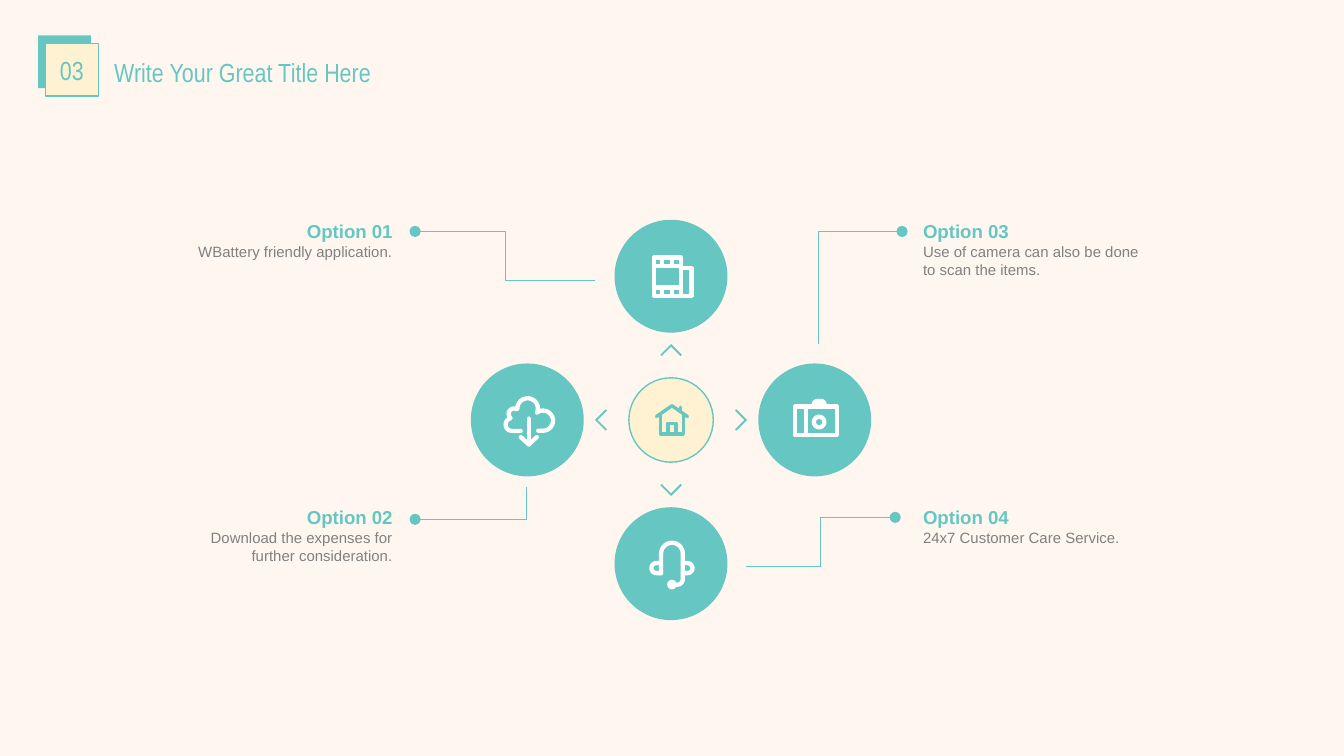
from math import cos, radians, sin

from lxml import etree
from pptx import Presentation
from pptx.dml.color import RGBColor
from pptx.enum.shapes import MSO_SHAPE
from pptx.enum.text import MSO_ANCHOR, PP_ALIGN
from pptx.oxml.ns import qn
from pptx.util import Pt

OVAL, RECTANGLE = MSO_SHAPE.OVAL, MSO_SHAPE.RECTANGLE
LEFT, CENTER, RIGHT = PP_ALIGN.LEFT, PP_ALIGN.CENTER, PP_ALIGN.RIGHT
MIDDLE, TOP = MSO_ANCHOR.MIDDLE, MSO_ANCHOR.TOP

THEME = {
    "teal": RGBColor(0x66, 0xC6, 0xC2),
    "cream": RGBColor(0xFF, 0xF2, 0xD2),
    "paper": RGBColor(0xFF, 0xF6, 0xF0),
    "gray": RGBColor(0x80, 0x80, 0x80),
    "white": RGBColor(0xFF, 0xFF, 0xFF),
    "title_font": "Arial Narrow",
    "body_font": "Arial",
    "title_size": 14,
    "option_size": 10,
    "detail_size": 8,
}

TITLE = "Write Your Great Title Here"
NUMBER = "03"

# heading, detail, left, top, height, alignment
OPTIONS = [
    ("Option 01", "WBattery friendly application.", 91.3, 118, 21.6, RIGHT),
    ("Option 02", "Download the expenses for further consideration.", 91.3, 271, 31.7, RIGHT),
    ("Option 03", "Use of camera can also be done to scan the items.", 494.5, 118, 31.7, LEFT),
    ("Option 04", "24x7 Customer Care Service.", 494.5, 271, 21.6, LEFT),
]
OPTION_WIDTH = 119

# each leader runs from its circle to the dot beside its option
LEADERS = [
    [(319, 150.2), (270.7, 150.2), (270.7, 124), (222.4, 124)],
    [(282.2, 261), (282.2, 278.2), (222.4, 278.2)],
    [(438.5, 184.3), (438.5, 124), (483.3, 124)],
    [(399.6, 303.5), (439.6, 303.5), (439.6, 277.2), (479.6, 277.2)],
]


def arc(x, y, radius, start, end):
    """Points along a circle, in degrees clockwise from the right."""
    steps = max(6, abs(end - start) // 12)
    angles = [radians(start + (end - start) * i / steps) for i in range(steps + 1)]
    return [(x + radius * cos(a), y + radius * sin(a)) for a in angles]


def frame(left, top, right, bottom):
    return [(left, top), (right, top), (right, bottom), (left, bottom), (left, top)]


# icon strokes, relative to the centre of their circle
FILM = [
    frame(-9.2, -10.1, 5.2, 10.4),
    [(-9.2, -5.4), (5.2, -5.4)],
    [(-9.2, 6.1), (5.2, 6.1)],
    *[[(x, y), (x, y + 4.5)] for x in (-4.9, 0.5) for y in (-10, 6)],
    [(5.2, -4.4), (10.9, -4.4), (10.9, 10.4), (5.2, 10.4)],
]
CAMERA = [
    frame(-10.6, -7.2, 11.7, 7.9),
    [(-4.9, -7.2), (-4.9, 7.9)],
    [(-0.5, -7.2), (-0.5, -9), (0.6, -10.1), (4.1, -10.1), (5.2, -9), (5.2, -7.2)],
    [(0, -8.4), (4.7, -8.4)],
    arc(2.3, 1.1, 2.8, 0, 360),
]
HEADSET = [
    [(-5.3, 5.1), *arc(-7.8, 2.4, 2.7, 90, 270), (-5.3, -0.3)],
    [(6.3, -0.3), *arc(8.8, 2.4, 2.7, -90, 90), (6.3, 5.1)],
    [(-5.3, 5.1), *arc(0.5, -5.4, 5.8, 180, 360), *arc(3.3, 8.3, 3, 0, 90), (0.5, 11.3)],
    arc(0.5, 11.2, 1.4, 0, 360),
]
CLOUD = [
    [(-3.5, 5.9), *arc(-8.2, 2.5, 3.4, 90, 240), *arc(-7.1, -3.2, 2.9, 130, 300),
     *arc(0.2, -6.1, 5.5, 180, 385), *arc(8.4, 0.4, 5.4, 240, 450), (5.9, 5.8)],
    [(0.8, -0.7), (0.8, 13.2)],
    [(-3.5, 9.2), (0.8, 13.2), (5.1, 9.2)],
]
HOUSE = [
    [(-7.8, -1.8), (0.5, -7.6), (8.8, -1.8)],
    [(-5.6, -2.5), (-5.6, 7.6), (6.6, 7.6), (6.6, -2.5)],
    [(-1.7, 7.6), (-1.7, 1.8), (2.7, 1.8), (2.7, 7.6)],
    [(5.2, -6.8), (5.2, -5)],
]

HUB = (359.5, 225)
HUB_SIZE, SPOKE_SIZE = 45.2, 60.5
SPOKE_REACH = 77
CHEVRON_TIP, CHEVRON_BASE, CHEVRON_HALF = 40, 34.6, 5.4
# direction from the hub, icon
SPOKES = [((0, -1), FILM), ((1, 0), CAMERA), ((-1, 0), CLOUD), ((0, 1), HEADSET)]


def add_block(slide, kind, left, top, width, height, fill, line=None):
    block = slide.shapes.add_shape(kind, Pt(left), Pt(top), Pt(width), Pt(height))
    block.shadow.inherit = False
    block.fill.solid()
    block.fill.fore_color.rgb = fill
    if line is None:
        block.line.fill.background()
    else:
        block.line.color.rgb = line
        block.line.width = Pt(0.75)
    return block


def add_circle(slide, center, size, fill, line=None):
    x, y = center
    add_block(slide, OVAL, x - size / 2, y - size / 2, size, size, fill, line)


def add_strokes(slide, strokes, color, width, origin=(0, 0), rounded=False, dot=False):
    """Draw open polylines as one unfilled outline."""
    builder = None
    for stroke in strokes:
        points = [(Pt(origin[0] + x), Pt(origin[1] + y)) for x, y in stroke]
        if builder is None:
            builder = slide.shapes.build_freeform(*points[0], scale=1.0)
        else:
            builder.move_to(*points[0])
        builder.add_line_segments(points[1:], close=False)
    outline = builder.convert_to_shape()
    outline.shadow.inherit = False
    outline.fill.background()
    outline.line.color.rgb = color
    outline.line.width = Pt(width)
    line = outline.line._get_or_add_ln()
    if rounded:
        line.set("cap", "rnd")
    etree.SubElement(line, qn("a:round" if rounded else "a:miter"))
    if dot:
        etree.SubElement(line, qn("a:tailEnd"), type="oval")


def write(shape, lines, align, anchor):
    """Fill a shape with (text, font, size, color, bold) paragraphs."""
    frame_ = shape.text_frame
    frame_.word_wrap = True
    frame_.vertical_anchor = anchor
    frame_.margin_left = frame_.margin_right = frame_.margin_top = frame_.margin_bottom = 0
    for index, (text, font, size, color, bold) in enumerate(lines):
        para = frame_.add_paragraph() if index else frame_.paragraphs[0]
        para.text = text
        para.alignment = align
        para.font.name = font
        para.font.size = Pt(size)
        para.font.color.rgb = color
        para.font.bold = bold


def main():
    teal, cream, white = THEME["teal"], THEME["cream"], THEME["white"]
    deck = Presentation()
    deck.slide_width, deck.slide_height = Pt(720), Pt(405)
    slide = deck.slides.add_slide(deck.slide_layouts[5])
    slide.background.fill.solid()
    slide.background.fill.fore_color.rgb = THEME["paper"]

    heading_style = (THEME["title_font"], THEME["title_size"], teal, False)
    title = slide.shapes.title
    title.left, title.top, title.width, title.height = Pt(61.2), Pt(26.4), Pt(152), Pt(24)
    write(title, [(TITLE, *heading_style)], LEFT, MIDDLE)
    add_block(slide, RECTANGLE, 20.4, 19, 28.3, 28.3, teal)
    badge = add_block(slide, RECTANGLE, 24.4, 23.2, 28.3, 28.3, cream, teal)
    write(badge, [(NUMBER, *heading_style)], CENTER, MIDDLE)

    add_circle(slide, HUB, HUB_SIZE, cream, teal)
    add_strokes(slide, HOUSE, teal, 1.8, HUB, rounded=True)
    for (dx, dy), icon in SPOKES:
        center = (HUB[0] + dx * SPOKE_REACH, HUB[1] + dy * SPOKE_REACH)
        add_circle(slide, center, SPOKE_SIZE, teal)
        add_strokes(slide, icon, white, 2.3, center, rounded=True)
        chevron = [(dx * reach - dy * side, dy * reach + dx * side) for reach, side in
                   ((CHEVRON_BASE, -CHEVRON_HALF), (CHEVRON_TIP, 0), (CHEVRON_BASE, CHEVRON_HALF))]
        add_strokes(slide, [chevron], teal, 1, HUB)

    for leader in LEADERS:
        add_strokes(slide, [leader], teal, 0.5, dot=True)
    for heading, detail, left, top, height, align in OPTIONS:
        box = slide.shapes.add_textbox(Pt(left), Pt(top), Pt(OPTION_WIDTH), Pt(height))
        write(box, [(heading, THEME["body_font"], THEME["option_size"], teal, True),
                    (detail, THEME["body_font"], THEME["detail_size"], THEME["gray"], False)],
              align, TOP)
    deck.save("out.pptx")


if __name__ == "__main__":
    main()
